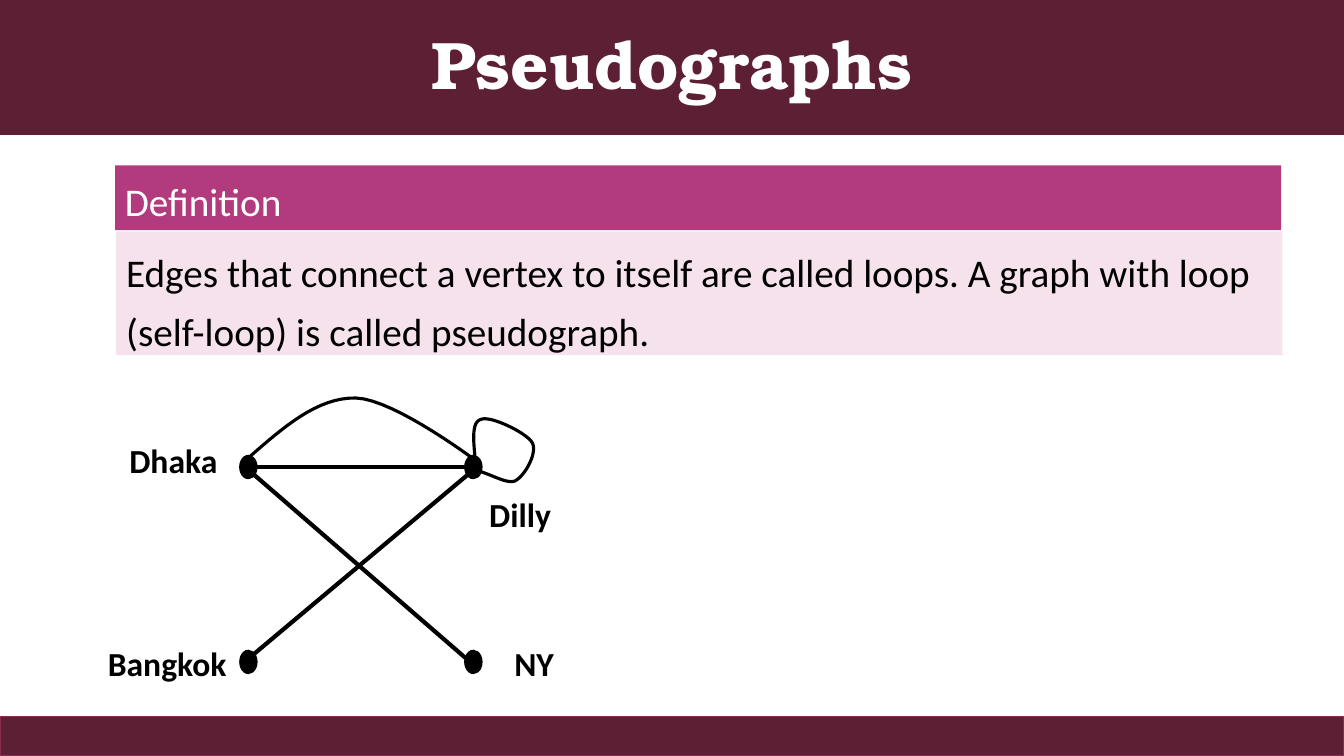
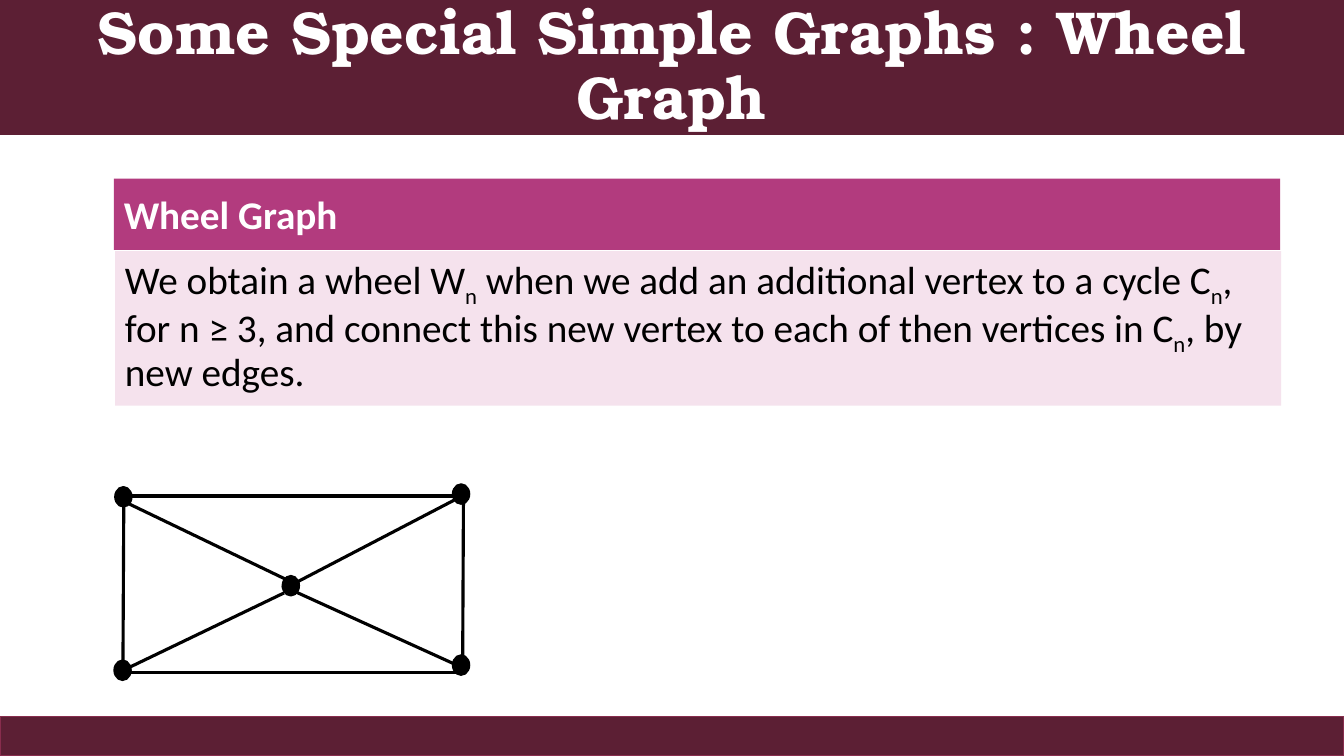
import pptx
import pptx.dml.color
import pptx.enum.shapes
import pptx.enum.text
import pptx.oxml.ns
import pptx.util
from lxml import etree

Cm = pptx.util.Cm
Pt = pptx.util.Pt
RGBColor = pptx.dml.color.RGBColor
Shape = pptx.enum.shapes.MSO_SHAPE
Align = pptx.enum.text.PP_ALIGN
Anchor = pptx.enum.text.MSO_ANCHOR

MAROON = RGBColor(0x5C, 0x1F, 0x34)
CLARET = RGBColor(0x88, 0x2D, 0x4D)
MAGENTA = RGBColor(0xB2, 0x3B, 0x7E)
BLUSH = RGBColor(0xF5, 0xE2, 0xED)
WHITE = RGBColor(0xFF, 0xFF, 0xFF)
BLACK = RGBColor(0x00, 0x00, 0x00)

TITLE_FONT = "TeX Gyre Bonum"
BODY_FONT = "Calibri"
SLIDE_WIDTH, SLIDE_HEIGHT = 33.87, 19.05
TITLE_HEIGHT, FOOTER_HEIGHT = 3.4, 1
DEFINITION_WIDTH = 29.39
CURVE_STEPS = 16


def write(shape, text, size=28, font=BODY_FONT, color=BLACK, bold=False,
          align=Align.LEFT, anchor=Anchor.TOP, spacing=1.0, wrap=True):
    """Write text into shape; parts between underscores become subscripts."""
    frame = shape.text_frame
    frame.word_wrap = wrap
    frame.auto_size = pptx.enum.text.MSO_AUTO_SIZE.NONE
    frame.vertical_anchor = anchor
    paragraph = frame.paragraphs[0]
    paragraph.alignment = align
    paragraph.line_spacing = spacing
    paragraph.space_before = Pt(0)
    for index, part in enumerate(text.split("_")):
        run = paragraph.add_run()
        run.text = part
        run.font.size = Pt(size)
        run.font.name = font
        run.font.bold = bold
        run.font.color.rgb = color
        if index % 2:
            run._r.get_or_add_rPr().set("baseline", "-25000")


def add_block(slide, kind, left, top, width, height, fill, line=None):
    block = slide.shapes.add_shape(kind, Cm(left), Cm(top), Cm(width), Cm(height))
    block.shadow.inherit = False
    block.fill.solid()
    block.fill.fore_color.rgb = fill
    if line is None:
        block.line.fill.background()
    else:
        block.line.color.rgb = line
        block.line.width = Pt(1)
    return block


def add_framed_slide(deck, heading, size):
    slide = deck.slides.add_slide(deck.slide_layouts[5])
    title = slide.shapes.title
    title.left, title.top = Cm(0), Cm(0)
    title.width, title.height = Cm(SLIDE_WIDTH), Cm(TITLE_HEIGHT)
    title.fill.solid()
    title.fill.fore_color.rgb = MAROON
    write(title, heading, size=size, font=TITLE_FONT, color=WHITE, bold=True,
          align=Align.CENTER, anchor=Anchor.MIDDLE, spacing=0.9)
    add_block(slide, Shape.RECTANGLE, 0, SLIDE_HEIGHT - FOOTER_HEIGHT,
              SLIDE_WIDTH, FOOTER_HEIGHT, MAROON, CLARET)
    return slide


def add_definition(slide, left, top, term, meaning, term_height, meaning_height,
                   bold_term=False, meaning_spacing=1.0):
    gap = 0.03
    term_bar = add_block(slide, Shape.RECTANGLE, left, top,
                         DEFINITION_WIDTH, term_height, MAGENTA)
    write(term_bar, term, color=WHITE, bold=bold_term, spacing=1.14)
    meaning_panel = add_block(slide, Shape.RECTANGLE, left + gap,
                              top + term_height + gap,
                              DEFINITION_WIDTH, meaning_height, BLUSH)
    write(meaning_panel, meaning, spacing=meaning_spacing)


def add_graph(slide, left, top, vertices, edges, vertex_kind, vertex_size, weight):
    width, height = vertex_size
    for x, y in vertices:
        add_block(slide, vertex_kind, left + x - width / 2, top + y - height / 2,
                  width, height, BLACK, BLACK)
    for x1, y1, x2, y2 in edges:
        edge = slide.shapes.add_connector(
            pptx.enum.shapes.MSO_CONNECTOR.STRAIGHT,
            Cm(left + x1), Cm(top + y1), Cm(left + x2), Cm(top + y2))
        edge.line.color.rgb = BLACK
        edge.line.width = Pt(weight)
        etree.SubElement(edge._element.spPr, pptx.oxml.ns.qn("a:effectLst"))


def bezier(p0, p1, p2, p3):
    for step in range(1, CURVE_STEPS + 1):
        t = step / CURVE_STEPS
        u = 1 - t
        yield tuple(u**3 * a + 3 * u * u * t * b + 3 * u * t * t * c + t**3 * d
                    for a, b, c, d in zip(p0, p1, p2, p3))


def add_curved_edge(slide, left, top, controls):
    points = [controls[0]]
    for start in range(0, len(controls) - 1, 3):
        points.extend(bezier(*controls[start:start + 4]))
    placed = [(Cm(left + x), Cm(top + y)) for x, y in points]
    builder = slide.shapes.build_freeform(*placed[0])
    builder.add_line_segments(placed[1:], close=False)
    curve = builder.convert_to_shape()
    curve.shadow.inherit = False
    curve.fill.background()
    curve.line.color.rgb = BLACK
    curve.line.width = Pt(2.25)


def add_city_graph(slide, left, top):
    west, east, north, south = 3.86, 9.53, 1.77, 6.68
    cities = [(x, y) for x in (west, east) for y in (north, south)]
    roads = [(4.08, 1.76, 9.31, 1.76), (4, 6.48, 9.39, 1.96), (4, 1.96, 9.69, 6.89)]
    add_graph(slide, left, top, cities, roads,
              Shape.FLOWCHART_CONNECTOR, (0.43, 0.58), 3)
    for city, x, y, width in (("Dhaka", 0.52, 1.07, 2.9), ("Dilly", 9.59, 2.42, 2.24),
                              ("Bangkok", 0, 6.18, 3.63), ("NY", 9.89, 6.18, 2.34)):
        label = add_block(slide, Shape.ROUNDED_RECTANGLE, left + x, top + y,
                          width, 1.07, WHITE)
        write(label, city, size=24, bold=True, align=Align.CENTER,
              anchor=Anchor.MIDDLE, wrap=False)
    parallel_road = [(3.87, 1.53), (4.74, 0.77), (5.6, 0.01), (6.57, 0.03),
                     (7.56, 0.06), (9.69, 1.68), (9.69, 1.68)]
    self_loop = [(9.59, 1.71), (9.54, 1.18), (9.46, 0.64), (9.72, 0.57),
                 (9.94, 0.46), (10.86, 0.9), (11.01, 1.15),
                 (11.16, 1.4), (10.83, 1.99), (10.58, 2.12),
                 (10.33, 2.22), (9.82, 1.84), (9.46, 1.84)]
    for controls in (parallel_road, self_loop):
        add_curved_edge(slide, left, top, controls)


def add_wheel_graph(slide, left, top):
    rim_vertices = [(0.31, 0.32), (8.82, 0.25), (8.82, 4.56), (0.29, 4.69)]
    hub = (4.53, 2.56)
    rim = [(0.32, 0.3, 8.76, 0.3), (0.32, 0.58, 0.3, 4.44),
           (8.88, 0.32, 8.86, 4.39), (0.3, 4.74, 8.76, 4.74)]
    spokes = [(4.41, 2.61, 8.71, 0.37), (0.35, 4.67, 4.36, 2.74),
              (4.31, 2.56, 8.78, 4.59), (0.25, 0.4, 4.74, 2.56)]
    add_graph(slide, left, top, rim_vertices + [hub], rim + spokes,
              Shape.OVAL, (0.43, 0.51), 2.25)


def build_pseudographs(deck):
    slide = add_framed_slide(deck, "Pseudographs", 48)
    add_definition(slide, 2.9, 4.17, "Definition",
                   "Edges that connect a vertex to itself are called loops. "
                   "A graph with loop (self-loop) is called pseudograph.",
                   1.63, 3.12, meaning_spacing=1.25)
    add_city_graph(slide, 2.4, 10)


def build_wheel(deck):
    slide = add_framed_slide(deck, "Some Special Simple Graphs : Wheel Graph", 43.2)
    add_definition(slide, 2.87, 4.5, "Wheel Graph",
                   "We obtain a wheel W_n_ when we add an additional vertex to a "
                   "cycle C_n_, for n ≥ 3, and connect this new vertex to each of "
                   "then vertices in C_n_, by new edges.",
                   1.8, 3.89, bold_term=True, meaning_spacing=0.9)
    add_wheel_graph(slide, 2.8, 12.2)


def main():
    deck = pptx.Presentation()
    deck.slide_width, deck.slide_height = Cm(SLIDE_WIDTH), Cm(SLIDE_HEIGHT)
    build_pseudographs(deck)
    build_wheel(deck)
    deck.save("out.pptx")


if __name__ == "__main__":
    main()
